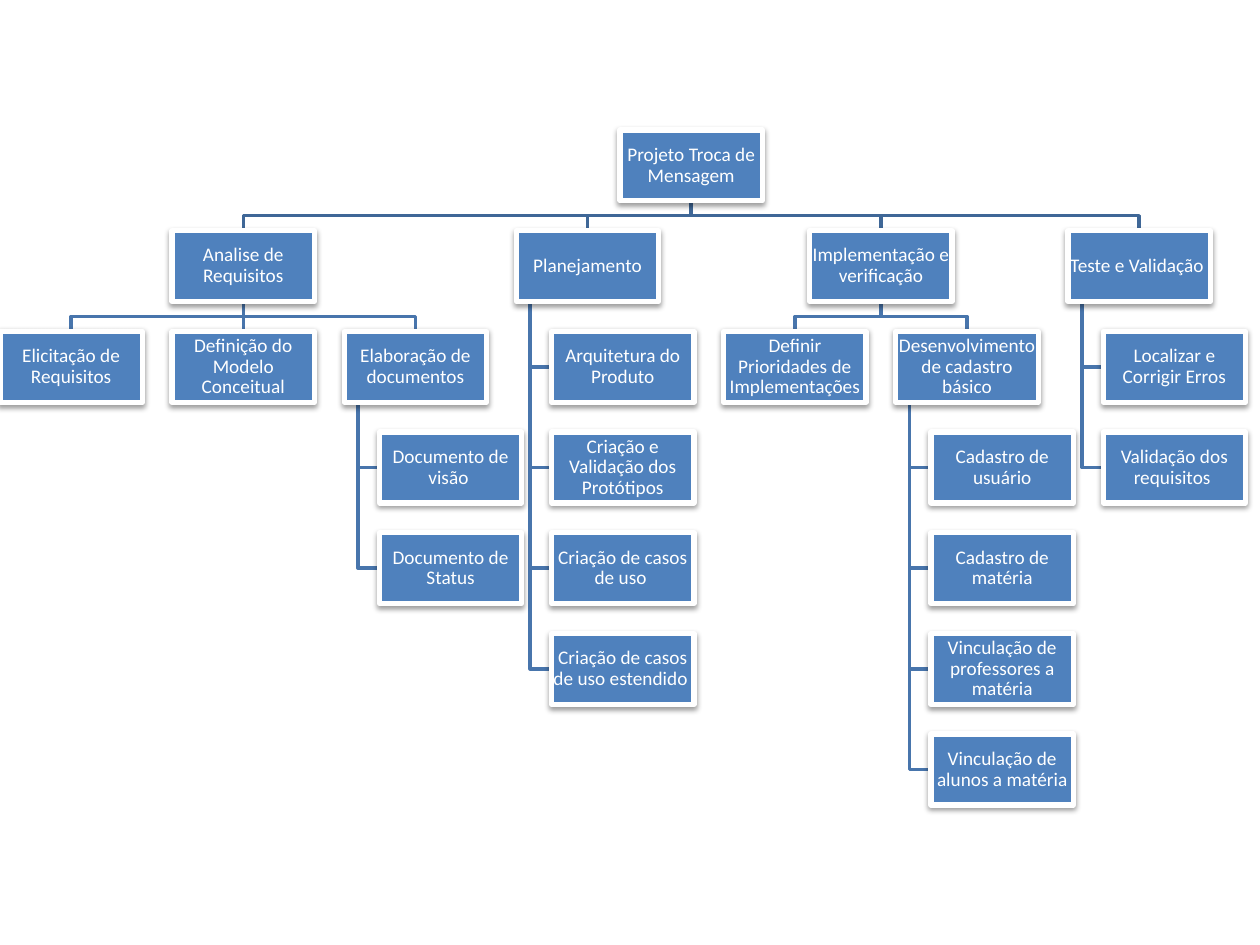
from lxml import etree
from pptx import Presentation
from pptx.dml.color import RGBColor
from pptx.enum import shapes, text
from pptx.oxml import parse_xml
from pptx.oxml.ns import nsdecls, qn
from pptx.util import Cm, Pt

# Each node is its label followed by its child nodes.
TREE = (
    "Projeto Troca de Mensagem",
    ("Analise de Requisitos",
     ("Elicitação de Requisitos",),
     ("Definição do Modelo Conceitual",),
     ("Elaboração de documentos",
      ("Documento de visão ",),
      ("Documento de Status",))),
    ("Planejamento",
     ("Arquitetura do Produto",),
     ("Criação e Validação dos Protótipos",),
     ("Criação de casos de uso ",),
     ("Criação de casos de uso estendido ",)),
    ("Implementação e verificação",
     ("Definir Prioridades de Implementações",),
     ("Desenvolvimento de cadastro básico",
      ("Cadastro de usuário",),
      ("Cadastro de matéria",),
      ("Vinculação de professores a matéria",),
      ("Vinculação de alunos a matéria",))),
    ("Teste e Validação ",
     ("Localizar e Corrigir Erros",),
     ("Validação dos requisitos ",)),
)
COLORS = {"box": "4F81BD", "edge": "FFFFFF", "text": "FFFFFF",
          "trunk": "3F6797", "branch": "4875AC"}
FONT = "Calibri"

# Lengths in cm
TOP = 2.62
WIDTH, HEIGHT = 2.87, 1.43
GAP = 0.6
PITCH = HEIGHT + GAP
INDENT, STEM = 0.71, 0.28

SHADOW = (f'<a:effectLst {nsdecls("a")}>'
          '<a:outerShdw blurRad="40000" dist="20000" dir="5400000" rotWithShape="0">'
          '<a:srgbClr val="000000"><a:alpha val="38000"/></a:srgbClr>'
          '</a:outerShdw></a:effectLst>')


def rgb(name):
    return RGBColor.from_string(COLORS[name])


def row_top(row):
    return TOP + row * PITCH


def place(node, row, edges, boxes, links):
    """Lay out a subtree clear of the right edges per row; return its left."""
    label, *kids = node
    if all(len(kid) == 1 for kid in kids):
        # Leaf children hang in a column below their parent.
        spots = [(row, 0)] + [(row + i, INDENT) for i in range(1, len(kids) + 1)]
        left = max([0] + [edges[r] + GAP - dx for r, dx in spots if r in edges])
        for (r, dx), (name,) in zip(spots, [(label,)] + kids):
            boxes.append((name, left + dx, row_top(r)))
            edges[r] = left + dx + WIDTH
        stem = left + STEM
        for r, dx in spots[1:]:
            mid = row_top(r) + HEIGHT / 2
            links.append(("branch", [(stem, row_top(row) + HEIGHT),
                                     (stem, mid), (left + dx, mid)]))
        return left

    lefts = [place(kid, row + 1, edges, boxes, links) for kid in kids]
    left = (lefts[0] + lefts[-1]) / 2
    boxes.append((label, left, row_top(row)))
    edges[row] = left + WIDTH
    start, end = row_top(row) + HEIGHT, row_top(row + 1)
    bus = (start + end) / 2
    x = left + WIDTH / 2
    for kid in lefts:
        to = kid + WIDTH / 2
        points = [(x, start), (x, bus), (to, bus), (to, end)]
        if abs(x - to) < 0.01:
            points = [(x, start), (x, end)]
        links.append(("branch" if row else "trunk", points))
    return left


def draw_link(slide, color, points):
    points = [(Cm(x), Cm(y)) for x, y in points]
    if len(points) == 2:
        link = slide.shapes.add_connector(
            shapes.MSO_CONNECTOR.STRAIGHT, *points[0], *points[1])
        etree.SubElement(link.element.spPr, qn("a:effectLst"))
    else:
        path = slide.shapes.build_freeform(*points[0])
        path.add_line_segments(points[1:], close=False)
        link = path.convert_to_shape()
        link.fill.background()
        link.shadow.inherit = False
    link.line.color.rgb = rgb(color)
    link.line.width = Pt(2)


def draw_box(slide, label, left, top):
    box = slide.shapes.add_shape(shapes.MSO_SHAPE.RECTANGLE,
                                 Cm(left), Cm(top), Cm(WIDTH), Cm(HEIGHT))
    box.fill.solid()
    box.fill.fore_color.rgb = rgb("box")
    box.line.color.rgb = rgb("edge")
    box.line.width = Pt(3)
    box.element.spPr.append(parse_xml(SHADOW))
    frame = box.text_frame
    frame.text = label
    frame.word_wrap = True
    frame.vertical_anchor = text.MSO_ANCHOR.MIDDLE
    frame.margin_left = frame.margin_right = Cm(0.02)
    frame.margin_top = frame.margin_bottom = Cm(0.02)
    para = frame.paragraphs[0]
    para.alignment = text.PP_ALIGN.CENTER
    para.line_spacing = 0.9
    font = para.runs[0].font
    font.name, font.size = FONT, Pt(11)
    font.color.rgb = rgb("text")


def main():
    deck = Presentation()
    deck.slide_width, deck.slide_height = Cm(25.4), Cm(19.05)
    slide = deck.slides.add_slide(deck.slide_layouts[6])
    boxes, links = [], []
    place(TREE, 0, {}, boxes, links)
    for link in links:
        draw_link(slide, *link)
    for box in boxes:
        draw_box(slide, *box)
    deck.save("out.pptx")


if __name__ == "__main__":
    main()
